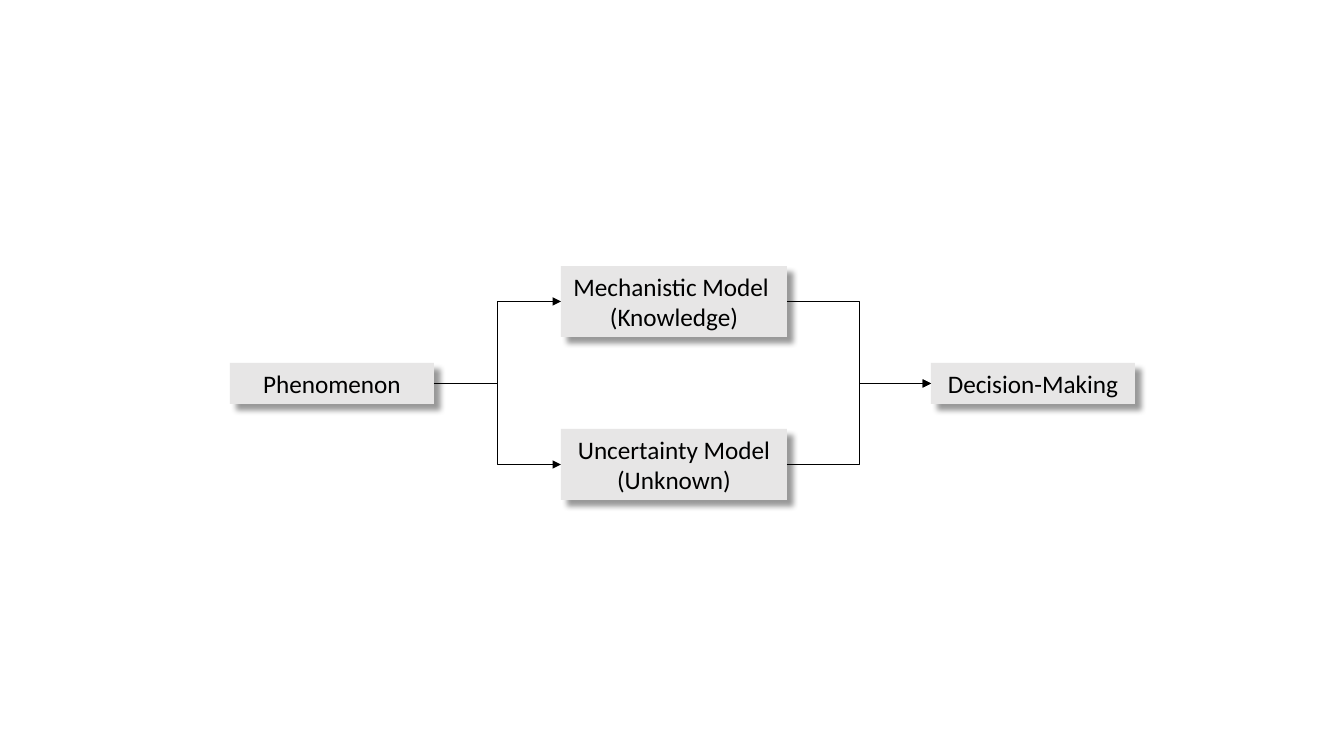
from itertools import product

from lxml.etree import SubElement
from pptx import Presentation
from pptx.dml.color import RGBColor
from pptx.enum.shapes import MSO_CONNECTOR, MSO_SHAPE
from pptx.enum.text import MSO_ANCHOR, MSO_AUTO_SIZE, PP_ALIGN
from pptx.oxml.ns import qn
from pptx.util import Pt

EMU_PER_PIXEL = 914400 / 100.8
LEFT_SITE, RIGHT_SITE = 1, 3
BLACK, BOX_GREY = "000000", "E7E6E6"
FRAME_FORMAT = {
    "word_wrap": True,
    "auto_size": MSO_AUTO_SIZE.SHAPE_TO_FIT_TEXT,
    "vertical_anchor": MSO_ANCHOR.MIDDLE,
}
FONT_FORMAT = {"name": "Calibri", "size": Pt(18)}


def px(pixels):
    return round(pixels * EMU_PER_PIXEL)


def color(hex_code):
    return RGBColor.from_string(hex_code)


def apply_format(target, values):
    for attribute, value in values.items():
        setattr(target, attribute, value)


def add_drop_shadow(box):
    box.shadow.inherit = False
    effects = box._element.spPr.find(qn("a:effectLst"))
    drop = SubElement(effects, qn("a:outerShdw"), blurRad=str(Pt(4)),
                      dist=str(Pt(6)), dir="2700000", algn="tl",
                      rotWithShape="0")
    tint = SubElement(drop, qn("a:srgbClr"), val=BLACK)
    SubElement(tint, qn("a:alpha"), val="40000")


def add_box(slide, left, top, width, height, *lines):
    box = slide.shapes.add_shape(MSO_SHAPE.RECTANGLE, px(left), px(top),
                                 px(width), px(height))
    box.fill.solid()
    box.fill.fore_color.rgb = color(BOX_GREY)
    box.line.fill.background()
    add_drop_shadow(box)

    # Centred label, one paragraph per line
    frame = box.text_frame
    apply_format(frame, FRAME_FORMAT)
    for index, line in enumerate(lines):
        paragraph = frame.add_paragraph() if index else frame.paragraphs[0]
        paragraph.alignment = PP_ALIGN.CENTER
        run = paragraph.add_run()
        run.text = line
        apply_format(run.font, FONT_FORMAT)
        run.font.color.rgb = color(BLACK)
    return box


def add_arrow(slide, source, target):
    arrow = slide.shapes.add_connector(MSO_CONNECTOR.ELBOW, 0, 0, 0, 0)
    arrow.begin_connect(source, RIGHT_SITE)
    arrow.end_connect(target, LEFT_SITE)
    arrow.line.color.rgb = color(BLACK)
    arrow.line.width = Pt(0.5)
    SubElement(arrow.line._get_or_add_ln(), qn("a:tailEnd"), type="triangle")
    SubElement(arrow._element.spPr, qn("a:effectLst"))


def main():
    presentation = Presentation()
    presentation.slide_width = px(1344)
    presentation.slide_height = px(756)
    slide = presentation.slides.add_slide(presentation.slide_layouts[6])

    # Start, two parallel models, outcome
    phenomenon = add_box(slide, 230, 363, 204, 41, "Phenomenon")
    models = [
        add_box(slide, 561, 266, 226, 71, "Mechanistic Model ", "(Knowledge)"),
        add_box(slide, 561, 429, 226, 71, "Uncertainty Model", "(Unknown)"),
    ]
    decision = add_box(slide, 931, 363, 204, 41, "Decision-Making")

    # Flow into and out of both models
    for source, target in [*product([phenomenon], models),
                           *product(models, [decision])]:
        add_arrow(slide, source, target)

    presentation.save("out.pptx")


main()
